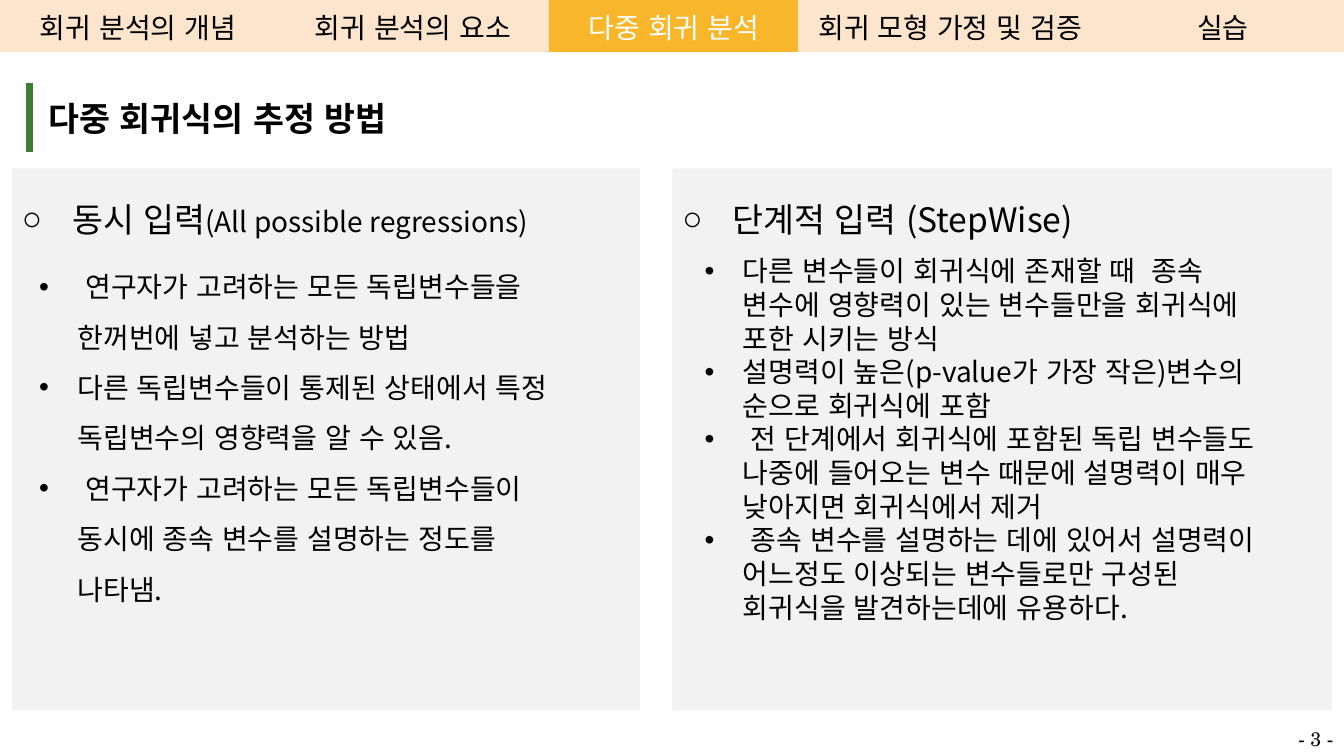
from lxml.etree import SubElement
from pptx import Presentation
from pptx.dml.color import RGBColor
from pptx.enum.shapes import MSO_SHAPE
from pptx.enum.text import MSO_ANCHOR, MSO_AUTO_SIZE, PP_ALIGN
from pptx.oxml.ns import qn
from pptx.util import Inches, Pt

COLORS = {"black": "000000", "white": "FFFFFF", "panel": "F2F2F2",
          "tab": "FCE5CC", "active": "F8B62A", "bar": "3E7D33"}
SANS = "Noto Sans CJK KR"
PLAIN_TABLE = "{2D5ABB26-0587-4C30-8999-92F81FD0307C}"


def add_run(p, text, size, color="black", font=SANS, bold=False):
    r = p.add_run()
    r.text = text
    for name, value in {"size": Pt(size), "name": font, "bold": bold}.items():
        setattr(r.font, name, value)
    r.font.color.rgb = RGBColor.from_string(COLORS[color])
    rPr = r.font._element
    for name, value in {"lang": "ko-KR", "altLang": "en-US", "kern": "0"}.items():
        rPr.set(name, value)
    SubElement(rPr, qn("a:ea"), typeface=font)


def set_bullet(p, char, indent, spacing):
    p.alignment = PP_ALIGN.LEFT
    if spacing != 1:
        p.line_spacing = spacing
    pPr = p._p.get_or_add_pPr()
    pPr.set("marL", str(Inches(indent)))
    pPr.set("indent", str(Inches(-indent)))
    clr = SubElement(pPr, qn("a:buClr"))
    SubElement(clr, qn("a:srgbClr"), val=COLORS["black"])
    SubElement(pPr, qn("a:buFont"), typeface="Arial")
    SubElement(pPr, qn("a:buChar"), char=char)


prs = Presentation()
prs.slide_width, prs.slide_height = Inches(13.33), Inches(7.5)
s = prs.slides.add_slide(prs.slide_layouts[6])

heading = s.shapes.add_table(1, 1, Inches(0.29), Inches(0.82), Inches(12.92), Inches(0.43)).table
heading.first_row = heading.horz_banding = False
heading._tbl.tblPr[0].text = PLAIN_TABLE
cell = heading.cell(0, 0)
for side in ("left", "top", "right", "bottom"):
    setattr(cell, f"margin_{side}", Inches(0.1))
add_run(cell.text_frame.paragraphs[0], " 다중 회귀식의 추정 방법", 24, bold=True)
tcPr = cell._tc.get_or_add_tcPr()
edge = SubElement(tcPr, qn("a:lnL"), w=str(Pt(6)))
SubElement(SubElement(edge, qn("a:solidFill")), qn("a:srgbClr"), val=COLORS["bar"])
SubElement(tcPr, qn("a:noFill"))

tabs = [("회귀 분석의 개념", 2.74), ("회귀 분석의 요소", 2.71), ("다중 회귀 분석", 2.47),
        ("회귀 모형 가정 및 검증", 3.01), ("실습", 2.4)]
active = "다중 회귀 분석"
nav = s.shapes.add_table(1, len(tabs), 0, 0, Inches(13.33), Inches(0.52)).table
nav.first_row = nav.horz_banding = False
nav._tbl.tblPr[0].text = PLAIN_TABLE
for i, (text, width) in enumerate(tabs):
    nav.columns[i].width = Inches(width)
    cell = nav.cell(0, i)
    cell.fill.solid()
    cell.fill.fore_color.rgb = RGBColor.from_string(COLORS["active" if text == active else "tab"])
    cell.vertical_anchor = MSO_ANCHOR.MIDDLE
    for side in ("left", "top", "right", "bottom"):
        setattr(cell, f"margin_{side}", Inches(0.04))
    p = cell.text_frame.paragraphs[0]
    p.alignment = PP_ALIGN.CENTER
    add_run(p, text, 20, "white" if text == active else "black")

methods = [
    {"panel": (0.12, 1.67, 6.23, 5.38), "body": (0.29, 2.46, 5.5, 3.08), "spacing": 1.5,
     "heading": [("동시 입력", 24), ("(All possible regressions)", 20)],
     "points": [" 연구자가 고려하는 모든 독립변수들을 한꺼번에 넣고 분석하는 방법",
                "다른 독립변수들이 통제된 상태에서 특정 독립변수의 영향력을 알 수 있음.",
                " 연구자가 고려하는 모든 독립변수들이 동시에 종속 변수를 설명하는 정도를 나타냄."]},
    {"panel": (6.67, 1.67, 6.54, 5.38), "body": (6.89, 2.47, 5.9, 4.04), "spacing": 1,
     "heading": [("단계적 입력 (StepWise)", 24)],
     "points": ["다른 변수들이 회귀식에 존재할 때  종속 변수에 영향력이 있는 변수들만을 회귀식에 포한 시키는 방식",
                "설명력이 높은(p-value가 가장 작은)변수의 순으로 회귀식에 포함",
                " 전 단계에서 회귀식에 포함된 독립 변수들도 나중에 들어오는 변수 때문에 설명력이 매우 낮아지면 회귀식에서 제거",
                " 종속 변수를 설명하는 데에 있어서 설명력이 어느정도 이상되는 변수들로만 구성된 회귀식을 발견하는데에 유용하다."]},
]
for method in methods:
    sp = s.shapes.add_shape(MSO_SHAPE.RECTANGLE, *map(Inches, method["panel"]))
    sp.shadow.inherit = False
    sp.fill.solid()
    sp.fill.fore_color.rgb = RGBColor.from_string(COLORS["panel"])
    sp.line.fill.background()
    tf = sp.text_frame
    tf.word_wrap = True
    tf.vertical_anchor = MSO_ANCHOR.TOP
    tf.margin_top = Inches(0.1)
    p = tf.paragraphs[0]
    set_bullet(p, "○", 0.5, 1.5)
    for text, size in method["heading"]:
        add_run(p, text, size)

    tf = s.shapes.add_textbox(*map(Inches, method["body"])).text_frame
    tf.word_wrap = True
    tf.auto_size = MSO_AUTO_SIZE.SHAPE_TO_FIT_TEXT
    for i, point in enumerate(method["points"]):
        p = tf.add_paragraph() if i else tf.paragraphs[0]
        set_bullet(p, "•", 0.38, method["spacing"])
        add_run(p, point, 20)

tf = s.shapes.add_textbox(Inches(12.78), Inches(7.16), Inches(0.55), Inches(0.34)).text_frame
tf.word_wrap = False
tf.auto_size = MSO_AUTO_SIZE.SHAPE_TO_FIT_TEXT
add_run(tf.paragraphs[0], "- 3 -", 14, font="TeX Gyre Schola")

prs.save("out.pptx")
